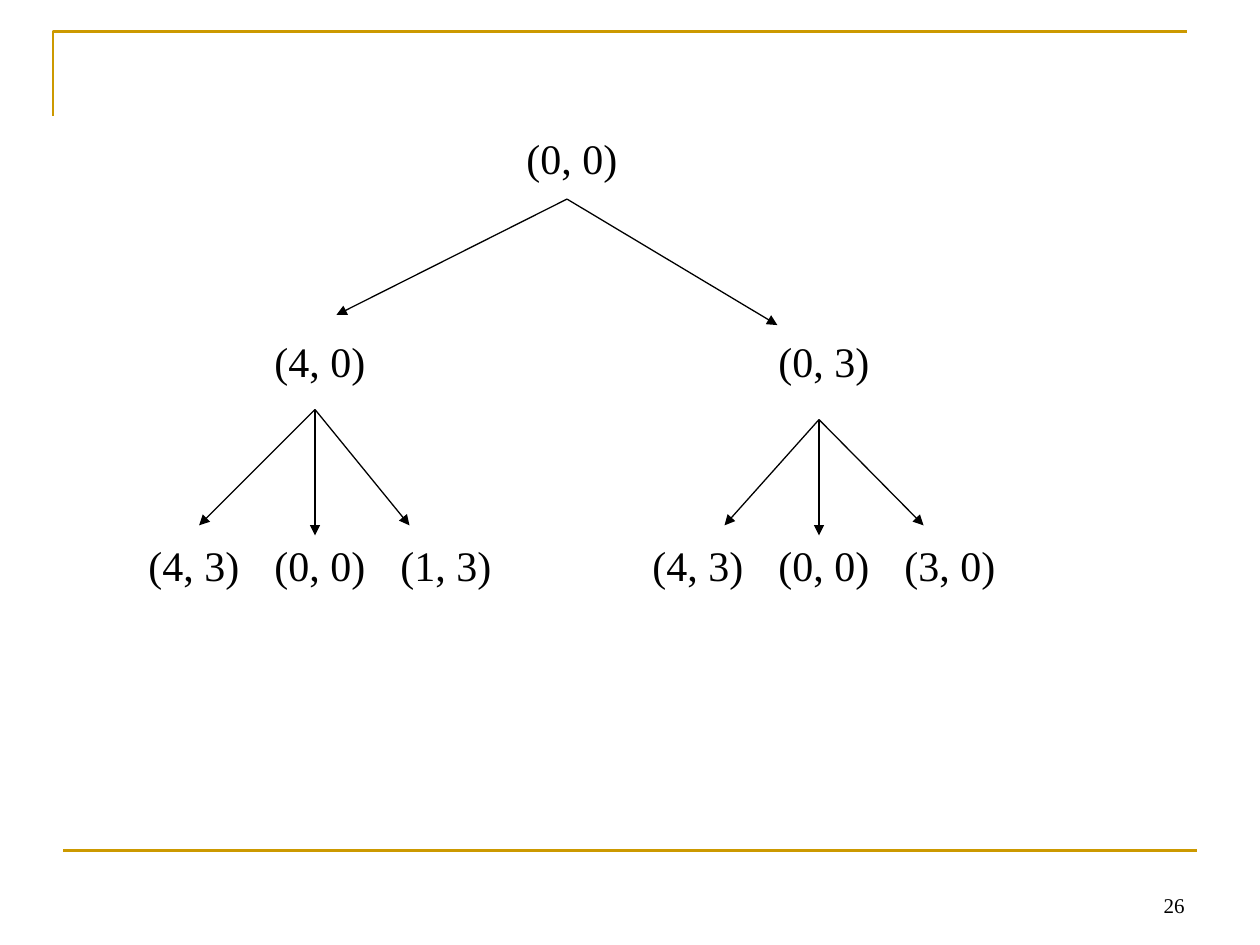
from lxml import etree
from pptx import Presentation
from pptx.dml.color import RGBColor
from pptx.enum.shapes import MSO_CONNECTOR
from pptx.enum.text import MSO_ANCHOR, PP_ALIGN
from pptx.oxml.ns import qn
from pptx.util import Inches, Pt

STRAIGHT = MSO_CONNECTOR.STRAIGHT
TOP, BOTTOM = MSO_ANCHOR.TOP, MSO_ANCHOR.BOTTOM
LEFT, RIGHT = PP_ALIGN.LEFT, PP_ALIGN.RIGHT

FONT = "Times New Roman"
BLACK, GOLD = "000000", "CC9900"

# Each tree level maps a tab position in inches to a state
TREE_LEVELS = [
    {3: "(0, 0)"},
    {1: "(4, 0)", 5: "(0, 3)"},
    {0: "(4, 3)", 1: "(0, 0)", 2: "(1, 3)",
     4: "(4, 3)", 5: "(0, 0)", 6: "(3, 0)"},
]

# Each branching point maps to the arrow ends below it
BRANCHES = {
    (4.5, 1.58): [(2.67, 2.5), (6.17, 2.58)],
    (2.5, 3.25): [(1.58, 4.17), (2.5, 4.25), (3.25, 4.17)],
    (6.5, 3.33): [(6.5, 4.25), (5.75, 4.17), (7.33, 4.17)],
}


def color(hex_string):
    return RGBColor.from_string(hex_string)


def style_line(shape, hex_string, width):
    shape.line.color.rgb = color(hex_string)
    shape.line.width = Pt(width)


def add_line(slide, start, end, hex_string=BLACK, width=0.75, arrow=False):
    points = [Inches(value) for value in (*start, *end)]
    connector = slide.shapes.add_connector(STRAIGHT, *points)
    style_line(connector, hex_string, width)
    if arrow:
        line = connector.line._get_or_add_ln()
        etree.SubElement(line, qn("a:tailEnd"), type="triangle")
    etree.SubElement(connector._element.spPr, qn("a:effectLst"))


def add_corner(slide, points, hex_string, width):
    start, *rest = [(Inches(x), Inches(y)) for x, y in points]
    builder = slide.shapes.build_freeform(*start)
    builder.add_line_segments(rest, close=False)
    corner = builder.convert_to_shape()
    corner.fill.background()
    corner.shadow.inherit = False
    style_line(corner, hex_string, width)


def set_tabs(paragraph, positions):
    properties = paragraph._p.get_or_add_pPr()
    tab_list = etree.SubElement(properties, qn("a:tabLst"))
    for position in positions:
        etree.SubElement(tab_list, qn("a:tab"),
                         pos=str(Inches(position)), algn="l")


def add_text(slide, lines, left, top, width, height, size=24,
             align=LEFT, anchor=TOP, gap=0, tabs=()):
    box = slide.shapes.add_textbox(*map(Inches, (left, top, width, height)))
    frame = box.text_frame
    frame.word_wrap = True
    frame.vertical_anchor = anchor
    for index, line in enumerate(lines):
        paragraph = frame.add_paragraph() if index else frame.paragraphs[0]
        paragraph.alignment = align
        if index:
            paragraph.space_before = Pt(gap)
        if tabs:
            set_tabs(paragraph, tabs)
        run = paragraph.add_run()
        run.text = line
        run.font.name = FONT
        run.font.size = Pt(size)
        run.font.color.rgb = color(BLACK)


def tabbed_line(level):
    return "\t".join(level.get(stop, "") for stop in range(max(level) + 1))


def main():
    presentation = Presentation()
    presentation.slide_width = Inches(10)
    presentation.slide_height = Inches(7.5)
    slide = presentation.slides.add_slide(presentation.slide_layouts[6])

    # Frame lines and page number
    add_corner(slide, [(0.42, 0.92), (0.42, 0.25), (9.42, 0.25)], GOLD, 1.5)
    add_line(slide, (0.5, 6.75), (9.5, 6.75), GOLD, 1.5)
    add_text(slide, ["26"], 7.17, 6.83, 2.33, 0.5, size=12,
             align=RIGHT, anchor=BOTTOM)

    # Tree states
    add_text(slide, [tabbed_line(level) for level in TREE_LEVELS],
             1.08, 1, 8.08, 4.5, gap=87.6, tabs=range(1, 8))

    # Tree arrows
    for start, ends in BRANCHES.items():
        for end in ends:
            add_line(slide, start, end, arrow=True)

    presentation.save("out.pptx")


if __name__ == "__main__":
    main()
